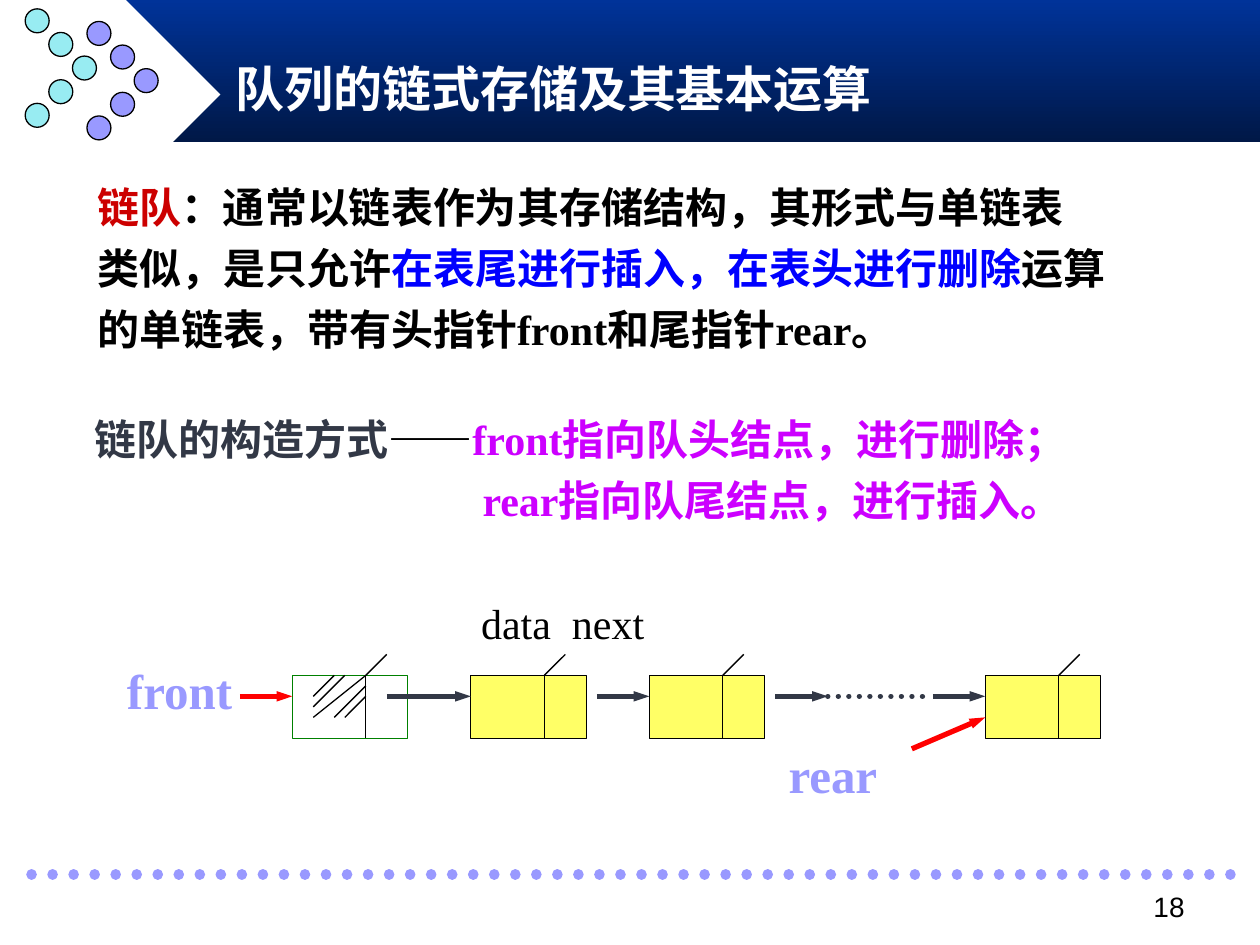
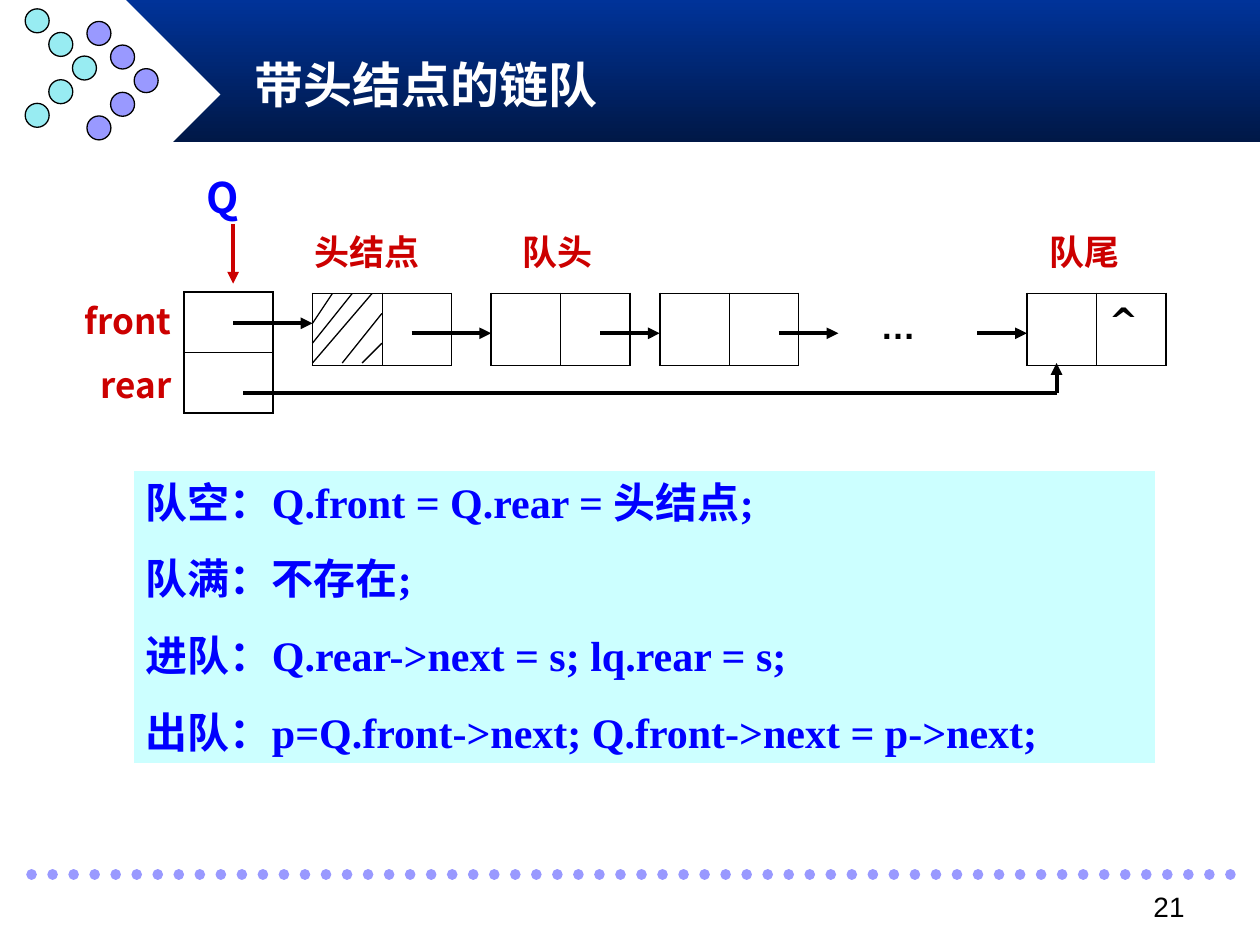
from pptx import Presentation
from pptx import util as u
from pptx.dml.color import RGBColor
from pptx.enum import shapes, text
from pptx.oxml.ns import qn
from lxml import etree

W, H = 10, 7.5
C = dict(navy="003399", night="001847", white="FFFFFF", black="000000",
         lilac="9999FF", aqua="98ECF2", red="CC0000", arrow="FF0000",
         blue="0000FF", slate="323846", violet="CC00FF", yellow="FFFF66",
         green="008000", ice="CCFFFF")
SERIF, CJK, SANS, TITLE = ("Times New Roman", "Noto Sans CJK SC", "Arial",
                           "DejaVu Sans")

# ---- Shared theme
DOT_COLS = [0, 1, 2, 1, 0]
DOT_PITCH = 3 / 16
DOT_CHAINS = [("lilac", 0.69, 0.17), ("aqua", 0.2, 0.07)]

# ---- Linked queue: content
QUEUE = dict(title="队列的链式存储及其基本运算", title_at=(1.77, 0.36), number="18")
DEFINITION = [
    [("链队", "red"), ("：通常以链表作为其存储结构，其形式与单链表", "black")],
    [("类似，是只允许", "black"), ("在表尾进行插入，在表头进行删除", "blue"),
     ("运算", "black")],
    [("的单链表，带有头指针front和尾指针rear。", "black")],
]
CONSTRUCTION = [
    [("链队的构造方式", "slate"), ("——", "black"),
     ("front指向队头结点，进行删除；", "violet")],
    [("rear指向队尾结点，进行插入。", "violet")],
]
# Diagram in grid steps from the first node's top left corner
QUEUE_NODES = [(0, None, "green"), (17, "yellow", "black"),
               (34, "yellow", "black"), (66, "yellow", "black")]
QUEUE_LINKS = [(9, 17), (29, 34), (46, 51), (61, 66)]
QUEUE_POINTERS = [(-5, 2, 0, 2), (59, 7, 66, 4)]
QUEUE_HATCH = [(5, 0, 2, 3), (7, 1, 4, 4), (7, 0, 2, 4), (7, 2, 5, 4),
               (4, 0, 2, 2)]

# ---- Queue with a head node: content
HEADED = dict(title="带头结点的链队", title_at=(1.92, 0.33), number="21")
OPERATIONS = [
    [("队空：Q.front = Q.rear = 头结点;", "blue")],
    [("队满：不存在;", "blue")],
    [("进队：Q.rear->next = s; lq.rear = s;", "blue")],
    [("出队：p=Q.front->next; Q.front->next = p->next;", "blue")],
]
HEADED_NODES = [(0, ""), (18, ""), (35, ""), (72, "^")]
NODE_LABELS = [("头结点", 2.4, 1.34), ("队头", 4.05, 1.1), ("队尾", 8.23, 1.1)]
HEADED_ARROWS = [(-8, 3, 0, 3), (10, 4, 18, 4), (29, 4, 35, 4),
                 (47, 4, 53, 4), (67, 4, 72, 4), (75, 10, 75, 7)]
HEADED_HATCH = [(2, 0, 0, 3), (4, 0, 0, 5), (6, 0, 0, 7), (7, 2, 3, 7),
                (7, 5, 5, 7)]


def rgb(name):
    return RGBColor.from_string(C[name])


def grid(x0, y0, step):
    """Return a function that turns grid points into inches."""
    def at(*pts):
        return [(y0 if i % 2 else x0) + v * step for i, v in enumerate(pts)]
    return at


def write(tf, paras, size=24, font=SERIF, color="black", bold=True, before=0,
          align="LEFT", anchor="TOP", inset=(0.1, 0.05), wrap=True,
          bullets=True):
    """Fill a text frame; a paragraph is a string or a list of (text, colour)."""
    tf.word_wrap, tf.auto_size = wrap, text.MSO_AUTO_SIZE.NONE
    tf.vertical_anchor = getattr(text.MSO_ANCHOR, anchor)
    tf.margin_left = tf.margin_right = u.Inches(inset[0])
    tf.margin_top = tf.margin_bottom = u.Inches(inset[1])
    for i, runs in enumerate(paras):
        p = tf.add_paragraph() if i else tf.paragraphs[0]
        p.alignment = getattr(text.PP_ALIGN, align)
        p.space_before, p.line_spacing = u.Pt(before), u.Pt(size * 1.2)
        if not bullets:
            pPr = p._p.get_or_add_pPr()
            pPr.set("marL", "0")
            pPr.set("indent", "0")
            etree.SubElement(pPr, qn("a:buNone"))
        for words, hue in [(runs, color)] if isinstance(runs, str) else runs:
            r = p.add_run()
            r.text = words
            r.font.size, r.font.name, r.font.bold = u.Pt(size), font, bold
            r.font.color.rgb = rgb(hue)
            etree.SubElement(r._r.get_or_add_rPr(), qn("a:ea"), typeface=CJK)


def label(s, words, x, y, w, h, **fmt):
    sp = s.shapes.add_textbox(*map(u.Inches, (x, y, w, h)))
    write(sp.text_frame, [words] if isinstance(words, str) else words, **fmt)
    return sp


def shape(s, kind, x, y, w, h, fill=None, line=None):
    sp = s.shapes.add_shape(getattr(shapes.MSO_SHAPE, kind),
                            *map(u.Inches, (x, y, w, h)))
    sp.shadow.inherit = False
    if fill:
        sp.fill.solid()
        sp.fill.fore_color.rgb = rgb(fill)
    else:
        sp.fill.background()
    if line:
        sp.line.color.rgb, sp.line.width = rgb(line), u.Pt(0.75)
    else:
        sp.line.fill.background()
    return sp


def line(s, x1, y1, x2, y2, color="black", width=0.75, head=None, dots=False):
    """Draw a line; head is the arrowhead's width class."""
    cx = s.shapes.add_connector(shapes.MSO_CONNECTOR.STRAIGHT,
                                *map(u.Inches, (x1, y1, x2, y2)))
    cx.line.color.rgb, cx.line.width = rgb(color), u.Pt(width)
    ln = cx.line._get_or_add_ln()
    if dots:
        ln.set("cap", "rnd")
        etree.SubElement(ln, qn("a:prstDash"), val="sysDot")
    if head:
        etree.SubElement(ln, qn("a:tailEnd"), type="triangle", w=head, len="med")
    etree.SubElement(cx._element.spPr, qn("a:effectLst"))


def box_table(s, x, y, cols, rows):
    """Add a see-through table with thick outer and thin inner borders."""
    nr, nc = len(rows), len(cols)
    t = s.shapes.add_table(nr, nc, *map(u.Inches, (x, y, sum(cols), sum(rows)))).table
    t.first_row = t.horz_banding = False
    for c, w in enumerate(cols):
        t.columns[c].width = u.Inches(w)
    for r, h in enumerate(rows):
        t.rows[r].height = u.Inches(h)
        for c in range(nc):
            cell = t.cell(r, c)
            tcPr = cell._tc.get_or_add_tcPr()
            edges = dict(L=c == 0, R=c == nc - 1, T=r == 0, B=r == nr - 1)
            for side, outer in edges.items():
                ln = etree.SubElement(tcPr, qn("a:ln" + side),
                                      w=str(u.Pt(1.08 if outer else 0.45)))
                fill = etree.SubElement(ln, qn("a:solidFill"))
                etree.SubElement(fill, qn("a:srgbClr"), val=C["black"])
            cell.fill.background()
    return t


def new_slide(prs, layout, title, title_at, number):
    """Add a slide with the band, dots, footer line, number and title."""
    s = prs.slides.add_slide(prs.slide_layouts[layout])
    band = shape(s, "RECTANGLE", 1, 0, W - 1, 0.15 * H, "navy")
    band.fill.gradient()
    band.fill.gradient_angle = 270
    for stop, hue in zip(band.fill.gradient_stops, ("navy", "night")):
        stop.color.rgb = rgb(hue)
    shape(s, "DIAMOND", 0.25, 0, 1.5, 1.5, "white")
    for hue, x, y in DOT_CHAINS:
        for row, col in enumerate(DOT_COLS):
            shape(s, "OVAL", x + col * DOT_PITCH, y + row * DOT_PITCH,
                  0.19, 0.19, hue, "black")
    line(s, 0.25, 6.94, 9.83, 6.94, "lilac", 6, dots=True)
    label(s, number, 7.17, 7.01, 2.33, 0.52, size=16, font=SANS, bold=False,
          align="RIGHT")
    # Bring the placeholders in front of the band
    for ph in list(s.placeholders):
        ph.element.getparent().append(ph.element)
    place(s.shapes.title, *title_at, 7.5, 0.67)
    write(s.shapes.title.text_frame, [title], size=28, font=TITLE,
          color="white", anchor="MIDDLE")
    return s


def place(sp, x, y, w, h):
    sp.left, sp.top, sp.width, sp.height = map(u.Inches, (x, y, w, h))


def queue_slide(prs):
    s = new_slide(prs, 1, **QUEUE)
    body = s.placeholders[1]
    place(body, 0.67, 1.39, 8.43, 5.23)
    write(body.text_frame, DEFINITION, before=6, bullets=False)
    sp = label(s, CONSTRUCTION, 0.75, 3.28, 8.9, 0.88, before=6, inset=(0, 0))
    second = sp.text_frame.paragraphs[1]._p.get_or_add_pPr()
    second.set("marL", str(u.Inches(3.08)))

    # Chain of nodes
    step = 1 / 12
    at = grid(2.32, 5.36, step)
    label(s, "data  next", 3.72, 4.69, 1.83, 0.5, bold=False)
    for col, fill, edge in QUEUE_NODES:
        shape(s, "RECTANGLE", *at(col, 0), 11 * step, 6 * step, fill, edge)
        line(s, *at(col + 7, 0, col + 7, 6))
        line(s, *at(col + 7, 0, col + 9, -2))
    for a, b in QUEUE_LINKS:
        line(s, *at(a, 2, b, 2), "slate", 3, head="sm")
    line(s, *at(51, 2, 61, 2), "slate", 3, dots=True)
    for pts in QUEUE_HATCH:
        line(s, *at(*pts))

    # Front and rear pointers
    for pts in QUEUE_POINTERS:
        line(s, *at(*pts), "arrow", 3, head="sm")
    for words, x, y, w in [("front", 0.91, 5.19, 1.04), ("rear", 6.16, 5.86, 0.91)]:
        label(s, words, x, y, w, 0.57, size=28, color="lilac", wrap=False)


def headed_slide(prs):
    s = new_slide(prs, 5, **HEADED)
    panel = shape(s, "RECTANGLE", 1.06, 3.73, 8.11, 2.33, "ice", "white")
    write(panel.text_frame, OPERATIONS, before=15)

    # Queue record and nodes
    step = 2 / 25.4
    at = grid(2.48, 2.33, step)
    box_table(s, 1.46, 2.32, [9 * step], [0.48, 0.48])
    for col, mark in HEADED_NODES:
        t = box_table(s, *at(col, 0), [7 * step] * 2, [0.57])
        if mark:
            write(t.cell(0, 1).text_frame, [mark], size=20, font=TITLE, before=5)
    for pts in HEADED_HATCH:
        line(s, *at(*pts))

    # Arrows
    line(s, *at(-8, -7, -8, -1), "red", 2.25, head="med")
    line(s, *at(-7, 10, 75, 10), width=2.25)
    for pts in HEADED_ARROWS:
        line(s, *at(*pts), width=2.25, head="med")

    # Labels
    red = dict(size=20, font=CJK, color="red")
    label(s, ["front", "rear"], 0.51, 2.33, 0.95, 1.28, before=12.5,
          align="RIGHT", **red)
    label(s, "Q", 1.54, 1.31, 0.71, 0.5, font=CJK, color="blue")
    label(s, "…", 6.89, 2.37, 1.1, 0.44, size=20, font=SANS)
    for words, x, w in NODE_LABELS:
        label(s, words, x, 1.78, w, 0.44, **red)


def main():
    prs = Presentation()
    prs.slide_width, prs.slide_height = u.Inches(W), u.Inches(H)
    queue_slide(prs)
    headed_slide(prs)
    prs.save("out.pptx")


if __name__ == "__main__":
    main()
